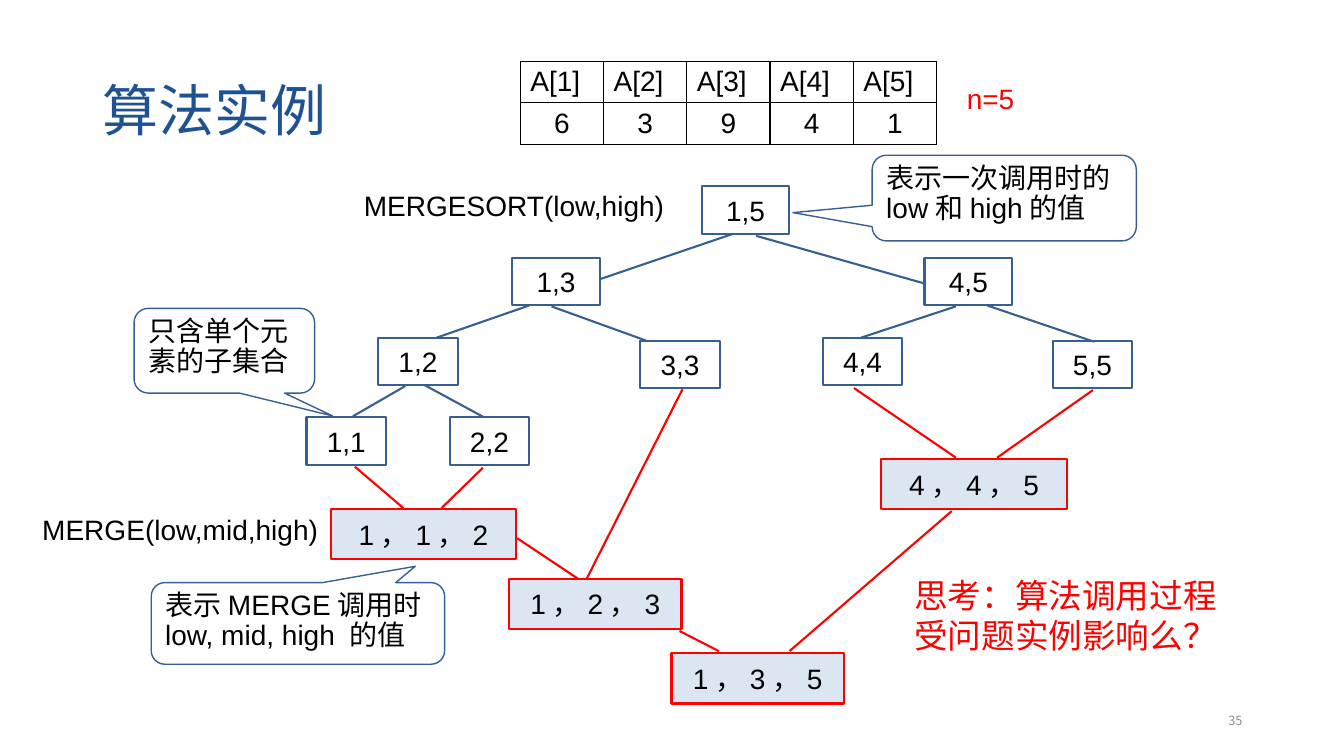
from dataclasses import dataclass

from lxml import etree
from pptx import Presentation
from pptx.dml.color import RGBColor
from pptx.enum.shapes import MSO_CONNECTOR, MSO_SHAPE
from pptx.enum.text import MSO_ANCHOR, PP_ALIGN
from pptx.oxml.ns import qn
from pptx.util import Inches, Pt

RECT = MSO_SHAPE.RECTANGLE
BUBBLE = MSO_SHAPE.ROUNDED_RECTANGULAR_CALLOUT
STRAIGHT = MSO_CONNECTOR.STRAIGHT
LEFT, MID, RIGHT = PP_ALIGN.LEFT, PP_ALIGN.CENTER, PP_ALIGN.RIGHT
TOP, CENTER = MSO_ANCHOR.TOP, MSO_ANCHOR.MIDDLE
LATIN, HAN = "Arial", "Noto Sans CJK SC"
BLUE, RED, BLACK, WHITE = "376092", "FF0000", "000000", "FFFFFF"
PALE, NAVY, GREY = "DCE6F2", "1E5293", "8C8C8C"


@dataclass
class Node:
    text: str
    x: float
    y: float
    w: float
    merge: bool = False


@dataclass
class Edge:
    x1: float
    y1: float
    x2: float
    y2: float
    color: str = BLUE


@dataclass
class Note:
    runs: list[str]
    x: float
    y: float
    w: float
    h: float
    tip: tuple[float, float]


@dataclass
class Label:
    text: str
    x: float
    y: float
    w: float
    h: float
    size: float = 20
    color: str = BLACK
    wrap: bool = False
    font: str = LATIN
    align: PP_ALIGN = LEFT
    anchor: MSO_ANCHOR = TOP
    space: float = 1.0


NODES = [
    Node("1,5", 6.96, 1.85, 0.87),
    Node("1,3", 5.08, 2.56, 0.87),
    Node("4,5", 9.17, 2.56, 0.87),
    Node("1,2", 3.75, 3.35, 0.79),
    Node("3,3", 6.35, 3.38, 0.79),
    Node("4,4", 8.16, 3.35, 0.79),
    Node("5,5", 10.44, 3.38, 0.79),
    Node("1,1", 3.04, 4.14, 0.79),
    Node("2,2", 4.46, 4.14, 0.79),
    Node("1，1，2", 3.28, 5.05, 1.84, True),
    Node("4，4，5", 8.74, 4.55, 1.84, True),
    Node("1，2，3", 5.05, 5.74, 1.71, True),
    Node("1，3，5", 6.66, 6.48, 1.71, True),
]
EDGES = [
    Edge(7.27, 2.32, 5.95, 2.77),
    Edge(7.5, 2.34, 9.16, 2.81),
    Edge(5.25, 3.03, 4.33, 3.35),
    Edge(5.47, 3.04, 6.41, 3.38),
    Edge(9.48, 3.04, 8.54, 3.35),
    Edge(9.79, 3.03, 10.85, 3.39),
    Edge(4.02, 3.83, 3.5, 4.13),
    Edge(4.21, 3.82, 4.8, 4.14),
    Edge(3.52, 4.63, 4, 5.04, RED),
    Edge(4.79, 4.64, 4.38, 5.04, RED),
    Edge(8.47, 3.85, 9.48, 4.54, RED),
    Edge(10.84, 3.87, 9.89, 4.54, RED),
    Edge(5.13, 5.34, 5.73, 5.74, RED),
    Edge(6.77, 3.86, 5.82, 5.74, RED),
    Edge(6.74, 6.26, 7.13, 6.46, RED),
    Edge(9.44, 5.07, 7.83, 6.46, RED),
]
NOTES = [
    Note(["表示一次调用时的", "low", "和", "high", "的值"],
         8.65, 1.54, 2.62, 0.85, (-0.8, 0.17)),
    Note(["只含单个元素的子集合"], 1.33, 3.06, 1.79, 0.84, (0.6, 0.77)),
    Note(["表示", "MERGE", "调用时", "low, mid, high ", "的值"],
         1.5, 5.78, 2.91, 0.81, (0.4, -0.7)),
]
LABELS = [
    Label("n=5", 9.49, 0.8, 0.89, 0.48, color=RED, space=0.9),
    Label("MERGESORT(low,high)", 3.51, 1.82, 3.3, 0.43),
    Label("MERGE(low,mid,high)", 0.32, 5.04, 2.96, 0.44),
    Label("思考：算法调用过程受问题实例影响么？", 8.97, 5.65, 3.22, 0.91,
          size=24, color=RED, wrap=True, font=HAN),
    Label("35", 9.42, 6.95, 3, 0.4, size=9, color=GREY, wrap=True,
          font=HAN, align=RIGHT, anchor=CENTER),
]
VALUES = [6, 3, 9, 4, 1]


def shade(color: str) -> RGBColor:
    return RGBColor.from_string(color)


def put(frame, *runs: str, size: float = 20, color: str = BLACK, font: str = "",
        align: PP_ALIGN = LEFT, anchor: MSO_ANCHOR = TOP, wrap: bool = True,
        space: float = 1.0) -> None:
    frame.word_wrap = wrap
    frame.vertical_anchor = anchor
    para = frame.paragraphs[0]
    para.alignment = align
    para.line_spacing = space
    for text in runs:
        run = para.add_run()
        run.text = text
        face = font or (LATIN if text[0].isascii() else HAN)
        run.font.name = face
        run.font.size = Pt(size)
        run.font.color.rgb = shade(color)
        east = etree.SubElement(run.font._element, qn("a:ea"))
        east.set("typeface", HAN)


def draw(slide, kind: MSO_SHAPE, x: float, y: float, w: float, h: float,
         fill: str, line: str, width: float):
    shape = slide.shapes.add_shape(kind, Inches(x), Inches(y), Inches(w), Inches(h))
    shape.shadow.inherit = False
    shape.fill.solid()
    shape.fill.fore_color.rgb = shade(fill)
    shape.line.color.rgb = shade(line)
    shape.line.width = Pt(width)
    return shape


def add_node(slide, node: Node) -> None:
    high, fill, line = (0.5, PALE, RED) if node.merge else (0.47, WHITE, BLUE)
    shape = draw(slide, RECT, node.x, node.y, node.w, high, fill, line, 1.5)
    put(shape.text_frame, node.text, align=MID, anchor=CENTER, wrap=False)


def add_edge(slide, edge: Edge) -> None:
    line = slide.shapes.add_connector(STRAIGHT, Inches(edge.x1), Inches(edge.y1),
                                      Inches(edge.x2), Inches(edge.y2))
    line.line.color.rgb = shade(edge.color)
    line.line.width = Pt(1.5)
    etree.SubElement(line._element.spPr, qn("a:effectLst"))


def add_note(slide, note: Note) -> None:
    shape = draw(slide, BUBBLE, note.x, note.y, note.w, note.h, WHITE, BLUE, 1)
    shape.adjustments[0], shape.adjustments[1] = note.tip
    put(shape.text_frame, *note.runs, space=0.9)


def add_label(slide, label: Label) -> None:
    box = slide.shapes.add_textbox(Inches(label.x), Inches(label.y),
                                   Inches(label.w), Inches(label.h))
    put(box.text_frame, label.text, size=label.size, color=label.color,
        font=label.font, align=label.align, anchor=label.anchor,
        wrap=label.wrap, space=label.space)


def add_grid(slide) -> None:
    count = len(VALUES)
    table = slide.shapes.add_table(2, count, Inches(5.16), Inches(0.61),
                                   Inches(4.13), Inches(0.82)).table
    for col, value in enumerate(VALUES):
        for row, (text, align) in enumerate([(f"A[{col + 1}]", LEFT), (str(value), MID)]):
            cell = table.cell(row, col)
            put(cell.text_frame, text, align=align)
            cell.vertical_anchor = CENTER
            props = cell._tc.get_or_add_tcPr()
            for side in ("lnL", "lnR", "lnT", "lnB"):
                line = etree.SubElement(props, qn(f"a:{side}"), w=str(Pt(1)))
                fill = etree.SubElement(line, qn("a:solidFill"))
                etree.SubElement(fill, qn("a:srgbClr"), val=BLACK)
            cell.fill.background()


def main() -> None:
    deck = Presentation()
    deck.slide_width, deck.slide_height = Inches(13.33), Inches(7.5)
    slide = deck.slides.add_slide(deck.slide_layouts[5])
    title = slide.shapes.title
    title.left, title.top = Inches(0.92), Inches(0.4)
    title.width, title.height = Inches(11.5), Inches(1.45)
    put(title.text_frame, "算法实例", size=40, color=NAVY, font=LATIN,
        anchor=CENTER, space=0.9)
    add_grid(slide)
    for items, add in ((NODES, add_node), (EDGES, add_edge),
                       (NOTES, add_note), (LABELS, add_label)):
        for item in items:
            add(slide, item)
    deck.save("out.pptx")


if __name__ == "__main__":
    main()
